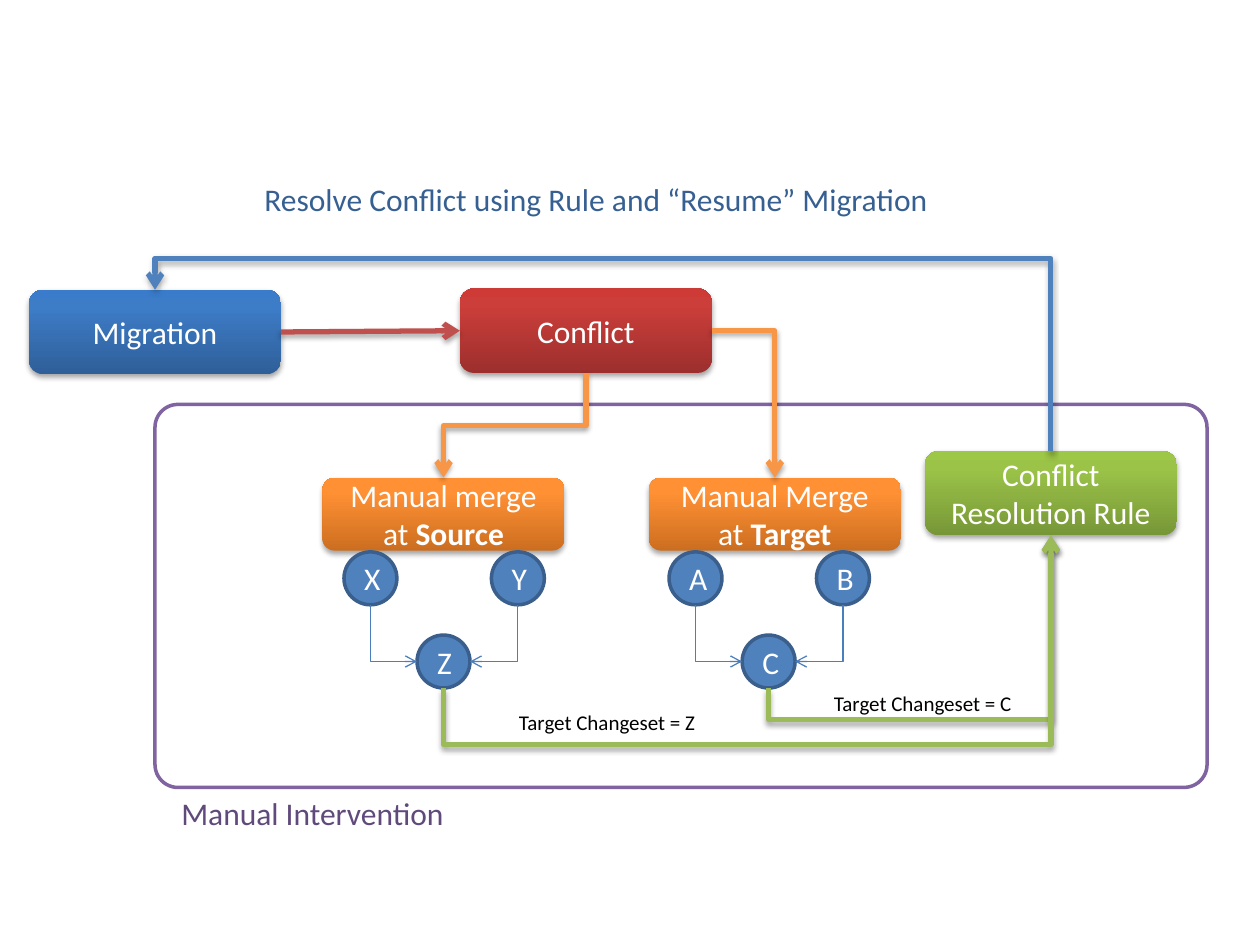
from lxml.etree import SubElement
from pptx import Presentation
from pptx.dml.color import RGBColor
from pptx.enum.shapes import MSO_CONNECTOR, MSO_SHAPE
from pptx.enum.text import MSO_ANCHOR, PP_ALIGN
from pptx.oxml.ns import qn
from pptx.util import Inches, Pt

FRAME = (1.23, 3.21, 8.35, 3.04)

BLUE = ("2F5F99", "3D7CC7", "3A7CCB")
RED = ("9C2F2D", "CB3E3A", "CE3B37")
ORANGE = ("CC6E20", "FF9034", "FF9136")
GREEN = ("779737", "9BC348", "9DC746")

# name: (left, top, width, height), gradient, [(text, bold)]
STEPS = {
    "migration": ((0.23, 2.3, 2, 0.67), BLUE, [("Migration", False)]),
    "conflict": ((3.65, 2.29, 2, 0.67), RED, [("Conflict", False)]),
    "source": ((2.56, 3.79, 1.92, 0.58), ORANGE, [("Manual merge at ", False), ("Source", True)]),
    "target": ((5.15, 3.79, 2, 0.58), ORANGE, [("Manual Merge at ", False), ("Target", True)]),
    "rule": ((7.34, 3.58, 2, 0.67), GREEN, [("Conflict Resolution Rule", False)]),
}

# left edge of each merge tree, then its two parents and their merged child
MERGES = [(2.73, "XYZ"), (5.31, "ABC")]
NODE_SIZE = 0.42
NODE_OFFSETS = [(0, 4.38), (1.17, 4.38), (0.58, 5.04)]

# from, side, to, side, colour, width, level of the middle section (None: one bend)
ROUTES = [
    ("conflict", "bottom", "source", "top", "F79646", 3, 3.38),
    ("conflict", "right", "target", "top", "F79646", 3, None),
    ("C", "bottom", "rule", "bottom", "9BBB59", 3, 5.71),
    ("Z", "bottom", "rule", "bottom", "9BBB59", 3, 5.91),
    ("rule", "top", "migration", "top", "4F81BD", 3, 2.05),
]
for _, (first, second, merged) in MERGES:
    ROUTES += [
        (first, "bottom", merged, "left", "4B7EBC", 0.75, None),
        (second, "bottom", merged, "right", "4B7EBC", 0.75, None),
    ]

# (left, top, width, height), text, size, colour
LABELS = [
    ((6.52, 5.43, 1.63, 0.3), "Target Changeset = C", 12, "000000"),
    ((4.02, 5.58, 1.63, 0.3), "Target Changeset = Z", 12, "000000"),
    ((2, 1.38, 5.53, 0.4), "Resolve Conflict using Rule and “Resume” Migration", 18, "376092"),
    ((1.34, 6.25, 2.31, 0.4), "Manual Intervention", 18, "604A7B"),
]

# side: fraction of the width, fraction of the height, in the order of connection sites
SIDES = {"top": (0.5, 0), "left": (0, 0.5), "bottom": (0.5, 1), "right": (1, 0.5)}


def color(value):
    return RGBColor.from_string(value)


def add_span(para, text, size, value, bold=False):
    span = para.add_run()
    span.text = text
    span.font.name = "Calibri"
    span.font.size = Pt(size)
    span.font.bold = bold
    span.font.color.rgb = color(value)


def set_effects(shape, shadow):
    """Give the shape its own effect list: a soft shadow below it, or nothing."""
    effects = SubElement(shape._element.spPr, qn("a:effectLst"))
    if shadow:
        outer = SubElement(effects, qn("a:outerShdw"), blurRad=str(Pt(3.1)), dist=str(Pt(1.8)),
                           dir="5400000", rotWithShape="0")
        black = SubElement(outer, qn("a:srgbClr"), val="000000")
        SubElement(black, qn("a:alpha"), val="35000")


def set_gradient(shape, values):
    shape.fill.gradient()
    shape.fill.gradient_angle = 90
    gradient = shape._element.spPr.find(qn("a:gradFill"))
    stops = gradient.find(qn("a:gsLst"))
    for stop in list(stops):
        stops.remove(stop)
    for position, value in zip((0, 80000, 100000), values):
        stop = SubElement(stops, qn("a:gs"), pos=str(position))
        SubElement(stop, qn("a:srgbClr"), val=value)
    gradient.find(qn("a:lin")).set("ang", "16200000")


def add_block(page, kind, place, spans):
    box = page.shapes.add_shape(kind, *map(Inches, place))
    box.text_frame.word_wrap = True
    box.text_frame.vertical_anchor = MSO_ANCHOR.MIDDLE
    para = box.text_frame.paragraphs[0]
    para.alignment = PP_ALIGN.CENTER
    for text, bold in spans:
        add_span(para, text, 18, "FFFFFF", bold)
    return box


def side_point(box, side):
    across, down = SIDES[side]
    return box.left + int(box.width * across), box.top + int(box.height * down)


def join(arrow, connect, tag, box, side):
    """Join one end to a side; an ellipse has an extra site between every two sides."""
    site = list(SIDES).index(side)
    connect(box, site)
    if box.auto_shape_type == MSO_SHAPE.OVAL:
        for joint in arrow._element.iter(qn(tag)):
            joint.set("idx", str(site * 2))


def add_arrow(page, kind, start, start_side, end, end_side, value, width):
    arrow = page.shapes.add_connector(kind, *side_point(start, start_side), *side_point(end, end_side))
    join(arrow, arrow.begin_connect, "a:stCxn", start, start_side)
    join(arrow, arrow.end_connect, "a:endCxn", end, end_side)
    arrow.line.color.rgb = color(value)
    arrow.line.width = Pt(width)
    SubElement(arrow._element.spPr.find(qn("a:ln")), qn("a:tailEnd"), type="arrow")
    set_effects(arrow, shadow=width > 1)
    return arrow


def bend(arrow, start_point, end_point, vertical, level):
    """Shape an elbow with one bend, or with two around a middle section at level."""
    (x1, y1), (x2, y2) = start_point, end_point
    properties = arrow._element.spPr
    geometry = properties.find(qn("a:prstGeom"))
    if level is None:
        geometry.set("prst", "bentConnector2")
    else:
        share = (Inches(level) - y1) / (y2 - y1)
        SubElement(geometry.find(qn("a:avLst")), qn("a:gd"), name="adj1",
                   fmla=f"val {round(share * 100000)}")
    if vertical:
        # A vertical start is a horizontal elbow turned about its centre
        arrow.width, arrow.height = abs(y2 - y1), abs(x2 - x1)
        arrow.left = (x1 + x2 - arrow.width) // 2
        arrow.top = (y1 + y2 - arrow.height) // 2
        frame = properties.find(qn("a:xfrm"))
        frame.set("rot", "16200000" if (x2 > x1) == (y2 > y1) else "5400000")
        frame.set("flipH", str(int(x2 > x1)))
        frame.set("flipV", str(int(y2 < y1)))


def main():
    deck = Presentation()
    deck.slide_width, deck.slide_height = Inches(10), Inches(7.5)
    page = deck.slides.add_slide(deck.slide_layouts[6])

    frame = page.shapes.add_shape(MSO_SHAPE.ROUNDED_RECTANGLE, *map(Inches, FRAME))
    frame.adjustments[0] = 0.06
    frame.fill.background()
    frame.line.color.rgb = color("8064A2")
    frame.line.width = Pt(2)
    frame.shadow.inherit = False

    boxes = {}
    for name, (place, gradient, spans) in STEPS.items():
        box = boxes[name] = add_block(page, MSO_SHAPE.ROUNDED_RECTANGLE, place, spans)
        set_gradient(box, gradient)
        box.line.fill.background()
        set_effects(box, shadow=True)

    for left, names in MERGES:
        for name, (offset, top) in zip(names, NODE_OFFSETS):
            place = (left + offset, top, NODE_SIZE, NODE_SIZE)
            node = boxes[name] = add_block(page, MSO_SHAPE.OVAL, place, [(name, False)])
            node.fill.solid()
            node.fill.fore_color.rgb = color("4F81BD")
            node.line.color.rgb = color("3A5F8C")
            node.line.width = Pt(2)
            node.shadow.inherit = False

    add_arrow(page, MSO_CONNECTOR.STRAIGHT, boxes["migration"], "right",
              boxes["conflict"], "left", "C0504D", 3)
    for start, start_side, end, end_side, value, width, level in ROUTES:
        arrow = add_arrow(page, MSO_CONNECTOR.ELBOW, boxes[start], start_side,
                          boxes[end], end_side, value, width)
        bend(arrow, side_point(boxes[start], start_side), side_point(boxes[end], end_side),
             start_side in ("top", "bottom"), level)

    for place, text, size, value in LABELS:
        label = page.shapes.add_textbox(*map(Inches, place))
        label.text_frame.word_wrap = False
        add_span(label.text_frame.paragraphs[0], text, size, value)

    deck.save("out.pptx")


if __name__ == "__main__":
    main()
